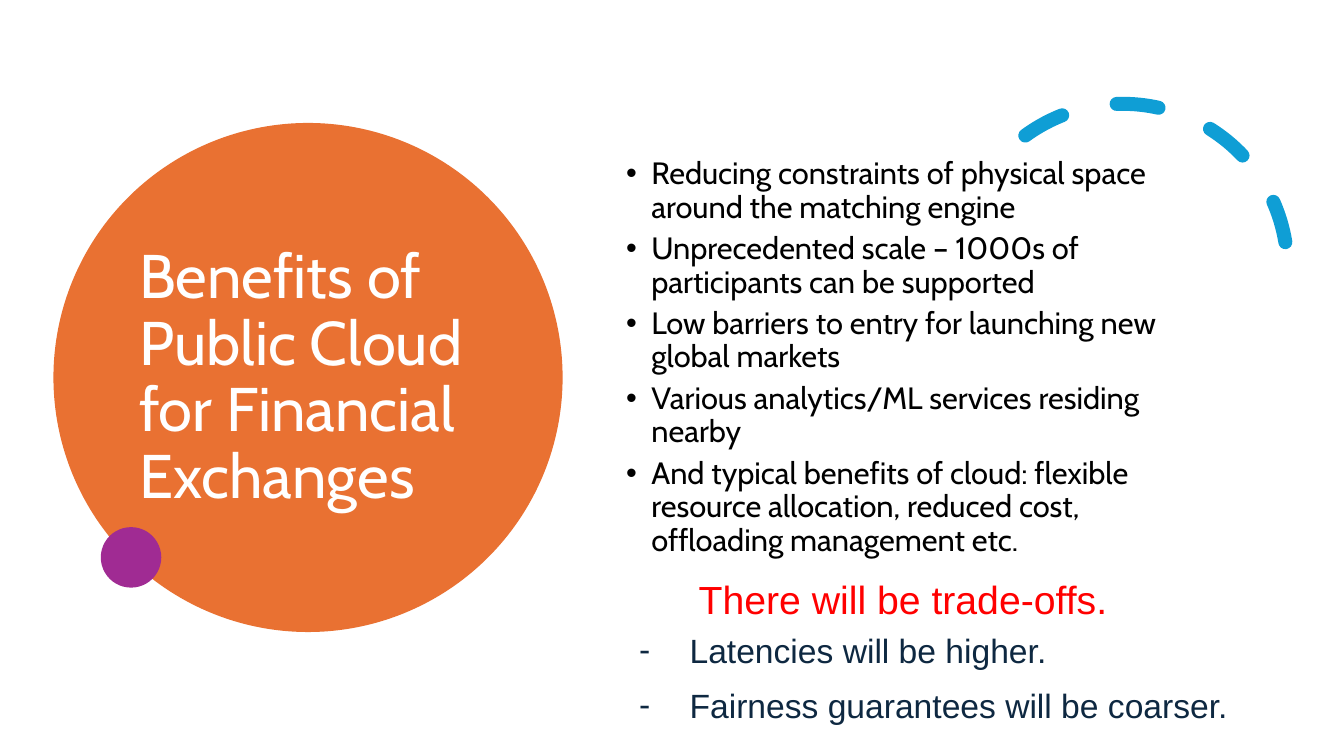
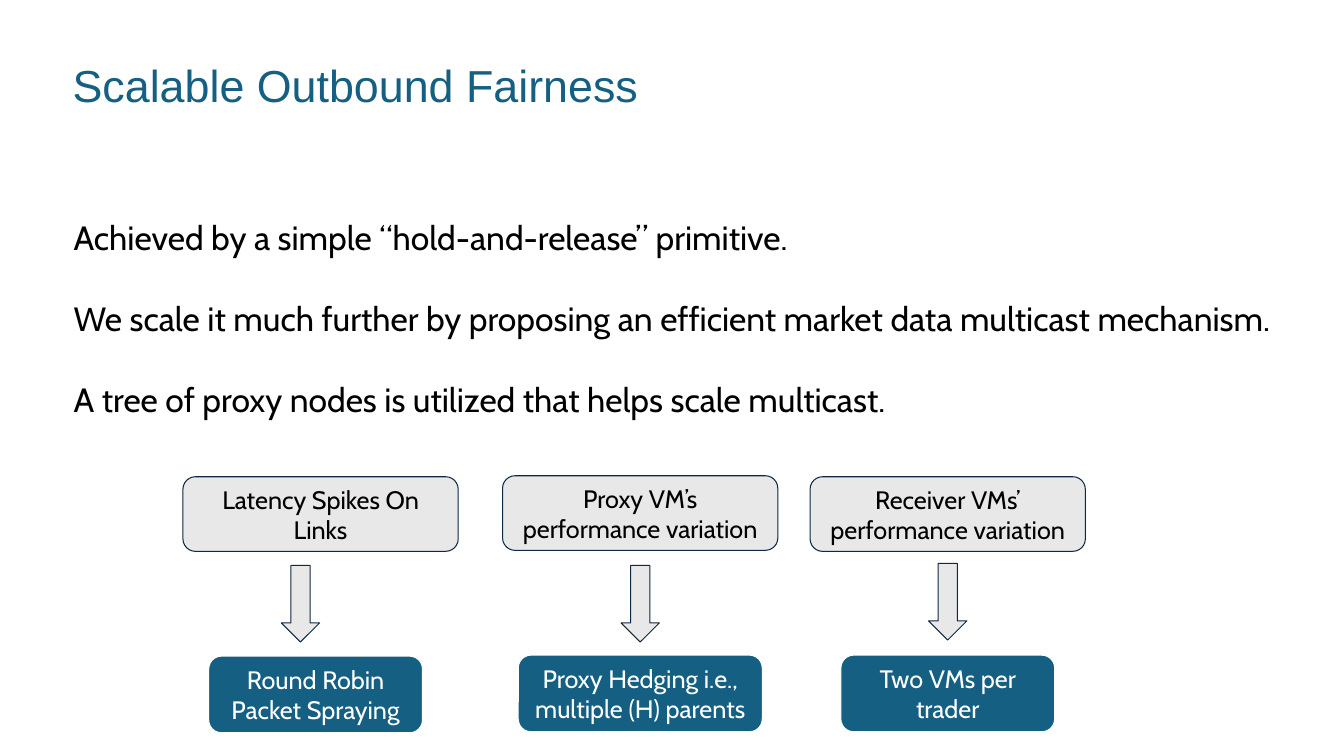
from lxml.etree import SubElement
from pptx import Presentation
from pptx.dml.color import RGBColor
from pptx.enum.dml import MSO_LINE
from pptx.enum.shapes import MSO_SHAPE
from pptx.enum.text import MSO_ANCHOR, MSO_AUTO_SIZE, PP_ALIGN
from pptx.oxml.ns import qn
from pptx.util import Inches, Pt

ORANGE = RGBColor(0xE9, 0x71, 0x32)
PURPLE = RGBColor(0xA0, 0x2B, 0x93)
SKY = RGBColor(0x0F, 0x9E, 0xD5)
TEAL = RGBColor(0x15, 0x60, 0x82)
NAVY = RGBColor(0x0E, 0x28, 0x41)
GRAY = RGBColor(0xE8, 0xE8, 0xE8)
RED = RGBColor(0xFF, 0, 0)
WHITE = RGBColor(0xFF, 0xFF, 0xFF)
BLACK = RGBColor(0, 0, 0)

BODY_FONT = "Cabin"
PLAIN_FONT = "Arial"

BENEFITS = [
    "Reducing constraints of physical space around the matching engine",
    "Unprecedented scale – 1000s of participants can be supported",
    "Low barriers to entry for launching new global markets",
    "Various analytics/ML services residing nearby",
    "And typical benefits of cloud: flexible resource allocation, reduced cost, "
    "offloading management etc.",
]
TRADE_OFFS = ["Latencies will be higher.", "Fairness guarantees will be coarser."]
FAIRNESS = [
    "Achieved by a simple “hold-and-release” primitive.",
    "We scale it much further by proposing an efficient market data multicast mechanism.",
    "A tree of proxy nodes is utilized that helps scale multicast.",
]
REMEDIES = [
    {"cause": "Latency Spikes On Links", "cause_box": (3.18, 4.73),
     "arrow": (2.98, 5.61),
     "fix": "Round Robin Packet Spraying", "fix_box": (3.13, 6.51, 2.12)},
    {"cause": "Proxy VM’s performance variation", "cause_box": (6.35, 4.72),
     "arrow": (6.35, 5.61),
     "fix": "Proxy Hedging i.e., multiple (H) parents", "fix_box": (6.35, 6.5, 2.42)},
    {"cause": "Receiver VMs’ performance variation", "cause_box": (9.4, 4.73),
     "arrow": (9.4, 5.59),
     "fix": "Two VMs per trader", "fix_box": (9.4, 6.5, 2.12)},
]


def write_text(shape, lines, size, color, font=BODY_FONT, align=PP_ALIGN.LEFT,
               anchor=MSO_ANCHOR.TOP, spacing=1.0, after=0, bullet=None,
               margin=0, indent=0, insets=(0.1, 0.05)):
    frame = shape.text_frame
    frame.word_wrap = True
    frame.auto_size = MSO_AUTO_SIZE.NONE
    frame.vertical_anchor = anchor
    frame.margin_left = frame.margin_right = Inches(insets[0])
    frame.margin_top = frame.margin_bottom = Inches(insets[1])
    for index, line in enumerate(lines):
        paragraph = frame.add_paragraph() if index else frame.paragraphs[0]
        paragraph.alignment = align
        paragraph.line_spacing = spacing
        paragraph.space_before = Pt(0)
        paragraph.space_after = Pt(after)
        run = paragraph.add_run()
        run.text = line
        run.font.size = Pt(size)
        run.font.name = font
        run.font.color.rgb = color
        properties = paragraph._p.get_or_add_pPr()
        properties.set("marL", str(Inches(margin)))
        properties.set("indent", str(Inches(indent)))
        if bullet:
            SubElement(properties, qn("a:buFont")).set("typeface", PLAIN_FONT)
            SubElement(properties, qn("a:buChar")).set("char", bullet)
        else:
            SubElement(properties, qn("a:buNone"))


def place(shape, left, top, width, height):
    shape.left, shape.top = Inches(left), Inches(top)
    shape.width, shape.height = Inches(width), Inches(height)
    return shape


def add_text_box(slide, box, lines, **text_format):
    shape = slide.shapes.add_textbox(*map(Inches, box))
    write_text(shape, lines, insets=(0.13, 0.13), **text_format)


def add_figure(slide, kind, box, fill=None, line=None, line_width=0.75):
    shape = slide.shapes.add_shape(kind, *map(Inches, box))
    shape.shadow.inherit = False
    if fill is None:
        shape.fill.background()
    else:
        shape.fill.solid()
        shape.fill.fore_color.rgb = fill
    if line is None:
        shape.line.fill.background()
    else:
        shape.line.color.rgb = line
        shape.line.width = Pt(line_width)
    return shape


def add_label(slide, text, center, top, width, height, fill, line, color):
    box = (center - width / 2, top, width, height)
    shape = add_figure(slide, MSO_SHAPE.ROUNDED_RECTANGLE, box, fill, line)
    write_text(shape, [text], 18, color, align=PP_ALIGN.CENTER,
               anchor=MSO_ANCHOR.MIDDLE, insets=(0.1, 0.1))


def add_slide(presentation, title_box, body_box):
    slide = presentation.slides.add_slide(presentation.slide_layouts[1])
    title = place(slide.shapes.title, *title_box)
    body = place(slide.placeholders[1], *body_box)
    return slide, title, body


def build_benefits(presentation):
    slide, title, body = add_slide(
        presentation, (1.28, 1.53, 3.54, 4.45), (5.69, 1.52, 6.05, 4.3))
    write_text(title, ["Benefits of Public Cloud for Financial Exchanges"], 44, WHITE,
               anchor=MSO_ANCHOR.MIDDLE, spacing=0.9)
    write_text(body, BENEFITS, 22, BLACK, spacing=0.9, after=6,
               bullet="•", margin=0.67, indent=-0.25)

    disc = add_figure(slide, MSO_SHAPE.OVAL, (0.53, 1.22, 5.05, 5.05), ORANGE)
    title.element.addprevious(disc.element)
    add_figure(slide, MSO_SHAPE.OVAL, (1, 5.23, 0.6, 0.6), PURPLE)

    arc = add_figure(slide, MSO_SHAPE.ARC, (9.5, 1.03, 3.27, 3.27),
                     line=SKY, line_width=10)
    arc.rotation = 330.2
    arc.adjustments[0], arc.adjustments[1] = 158.17, 17.81
    arc.line.dash_style = MSO_LINE.DASH
    arc.element.spPr.find(qn("a:ln")).set("cap", "rnd")

    add_text_box(slide, (6.8, 5.58, 6, 0.84), ["There will be trade-offs."],
                 size=28, color=RED, font=PLAIN_FONT, after=6)
    add_text_box(slide, (6.04, 6.06, 7, 1.4), TRADE_OFFS, size=24, color=NAVY,
                 font=PLAIN_FONT, spacing=1.15, after=6,
                 bullet="-", margin=0.67, indent=-0.5)


def build_fairness(presentation):
    slide, title, body = add_slide(
        presentation, (0.62, 0.52, 12.08, 0.64), (0.63, 2.1, 12.08, 2.52))
    write_text(title, ["Scalable Outbound Fairness"], 32, TEAL, font=PLAIN_FONT)
    write_text(body, FAIRNESS, 24, BLACK, after=29)

    for remedy in REMEDIES:
        center, top = remedy["cause_box"]
        add_label(slide, remedy["cause"], center, top, 2.73, 0.74, GRAY, NAVY, BLACK)
        center, top, width = remedy["fix_box"]
        add_label(slide, remedy["fix"], center, top, width, 0.76, TEAL, WHITE, WHITE)
        center, top = remedy["arrow"]
        add_figure(slide, MSO_SHAPE.DOWN_ARROW,
                   (center - 0.19, top, 0.38, 0.76), GRAY, NAVY)


def main():
    presentation = Presentation()
    presentation.slide_width = Inches(13.33)
    presentation.slide_height = Inches(7.5)
    build_benefits(presentation)
    build_fairness(presentation)
    presentation.save("out.pptx")


if __name__ == "__main__":
    main()
